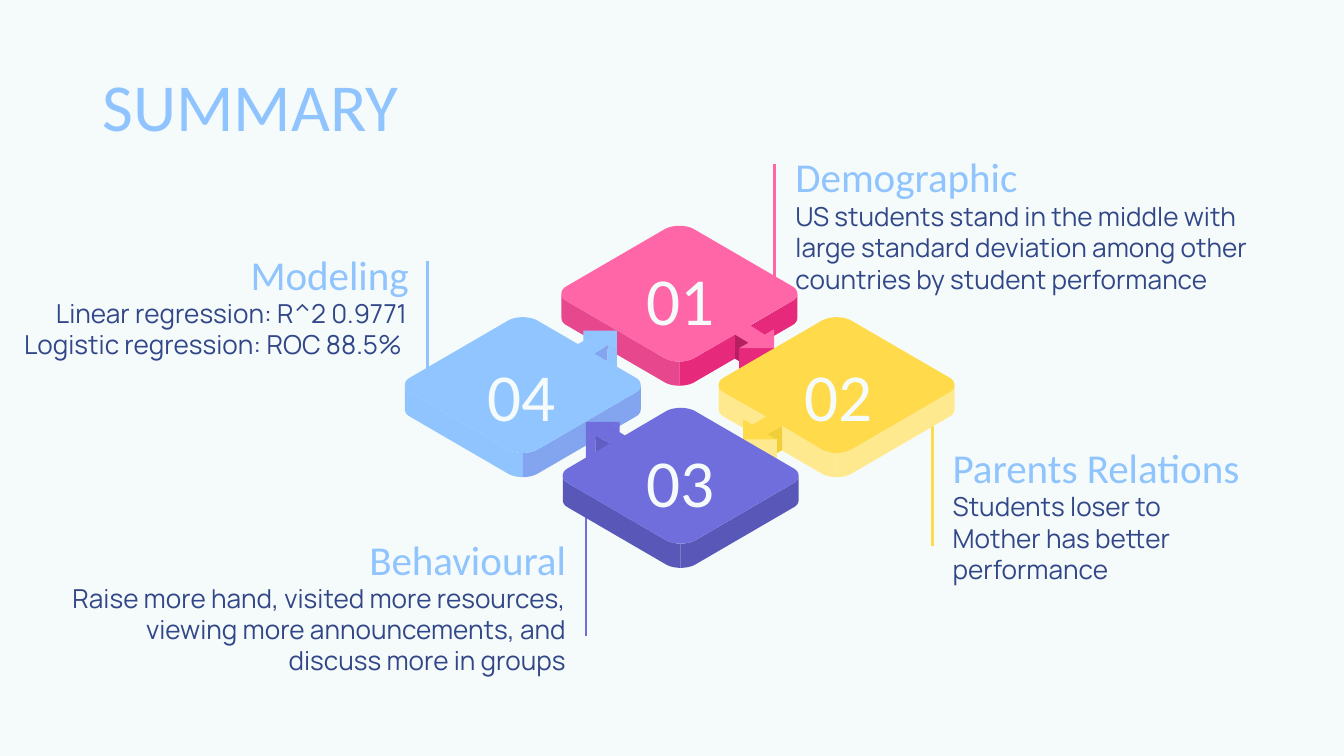
"""Build a summary slide with four interlocking tiles and their captions."""
from dataclasses import dataclass

from pptx import Presentation
from pptx.dml.color import RGBColor
from pptx.enum.shapes import MSO_CONNECTOR
from pptx.enum.text import MSO_ANCHOR, PP_ALIGN
from pptx.oxml.ns import qn
from pptx.slide import Slide
from pptx.util import Emu, Inches, Pt

WIDE = Inches(10)
HIGH = Emu(WIDE * 9 // 16)
COLS, ROWS = 1000, 562.5
DEPTH = 18

PALE = RGBColor(0xF5, 0xFB, 0xFB)
SKY = RGBColor(0x90, 0xC4, 0xFE)
NAVY = RGBColor(0x32, 0x47, 0x88)
PINK = RGBColor(0xFF, 0x66, 0xA7)
ROSE = RGBColor(0xE7, 0x47, 0x8D)
RUBY = RGBColor(0xE7, 0x29, 0x7B)
WINE = RGBColor(0xB5, 0x20, 0x60)
GOLD = RGBColor(0xFF, 0xDB, 0x4C)
CREAM = RGBColor(0xFF, 0xE9, 0x8F)
AMBER = RGBColor(0xF1, 0xCF, 0x38)
BLUE = RGBColor(0x91, 0xC5, 0xFF)
STEEL = RGBColor(0x83, 0xA5, 0xEF)
VIOLET = RGBColor(0x70, 0x6E, 0xDC)
PLUM = RGBColor(0x60, 0x5E, 0xC2)
INDIGO = RGBColor(0x59, 0x57, 0xB7)

Point = tuple[float, float]
Box = tuple[float, float, float, float]

CORNERS = (
    ((-10, -48.5), (-4, -51.2), (4, -51.2), (10, -48.5)),
    ((84, -5.5), (89, -3), (89, 3), (84, 5.5)),
    ((10, 48.5), (4, 51.2), (-4, 51.2), (-10, 48.5)),
    ((-84, 5.5), (-89, 3), (-89, -3), (-84, -5.5)),
)


@dataclass(frozen=True)
class Tile:
    """A raised tile; tab follows the given corner, sides drop from tab edges."""
    label: str
    mid: Point
    face: RGBColor
    left: RGBColor
    right: RGBColor
    corner: int
    tab: tuple[Point, ...]
    sides: dict[int, RGBColor]
    num: Point


@dataclass(frozen=True)
class Note:
    """A heading with body text beside a coloured rule."""
    head: str
    body: tuple[str, ...]
    top: Box
    low: Box
    align: PP_ALIGN
    after: int
    rule: Point
    tint: RGBColor


TILES = (
    Tile("01", (505.5, 218.5), PINK, ROSE, RUBY, 1,
         ((558, 242), (569, 249), (576, 245), (576, 259), (550, 259),
          (557, 255), (547, 249)), {5: WINE, 3: RUBY}, (457, 182)),
    Tile("02", (622.5, 286.5), GOLD, CREAM, CREAM, 2,
         ((582, 317), (571, 323), (578, 327), (553, 327), (553, 312),
          (560, 316), (570, 310)), {0: AMBER, 2: CREAM}, (575, 254)),
    Tile("04", (389, 286.5), BLUE, SKY, STEEL, 0,
         ((430, 256), (441, 250), (434, 246), (459, 246), (459, 261),
          (452, 257), (442, 263)), {1: SKY, 4: SKY, 5: STEEL}, (339, 254)),
    Tile("03", (506.5, 354), VIOLET, INDIGO, INDIGO, 3,
         ((454, 330), (443, 324), (436, 328), (436, 314), (461, 314),
          (455, 318), (465, 324)), {4: VIOLET, 1: VIOLET, 0: PLUM}, (457, 318)),
)

NOTES = (
    Note("Demographic", ("US students stand in the middle with large standard "
         "deviation among other countries by student performance",),
         (582, 103, 199, 64), (582, 139, 371, 115), PP_ALIGN.LEFT, 16,
         (576, 122), PINK),
    Note("Parents Relations",
         ("Students loser to Mother has better performance",),
         (699, 319, 241, 64), (699, 355, 236, 98), PP_ALIGN.LEFT, 16,
         (694, 308), GOLD),
    Note("Modeling",
         ("Linear regression: R^2 0.9771", "Logistic regression: ROC 88.5% "),
         (173, 176, 141, 64), (-6, 211, 319, 84), PP_ALIGN.RIGHT, 0,
         (318, 194), SKY),
    Note("Behavioural", ("Raise more hand, visited more resources, viewing more "
         "announcements, and discuss more in groups",),
         (253, 388, 178, 64), (31, 423, 400, 80), PP_ALIGN.RIGHT, 16,
         (436, 375), VIOLET),
)


def col(n: float) -> Emu:
    """Turn grid columns into a length."""
    return Emu(round(n * WIDE / COLS))


def row(n: float) -> Emu:
    """Turn grid rows into a length."""
    return Emu(round(n * HIGH / ROWS))


def write(slide: Slide, box: Box, lines: tuple[str, ...], size: int, font: str,
          tint: RGBColor, align: PP_ALIGN = PP_ALIGN.LEFT, after: int = 0) -> None:
    """Add a text box with one run per paragraph."""
    x, y, w, h = box
    frame = slide.shapes.add_textbox(col(x), row(y), col(w), row(h)).text_frame
    frame.word_wrap = True
    frame.vertical_anchor = MSO_ANCHOR.TOP
    frame.margin_left = frame.margin_right = Inches(0.1)
    frame.margin_top = frame.margin_bottom = Inches(0.1)
    for i, line in enumerate(lines):
        para = frame.add_paragraph() if i else frame.paragraphs[0]
        para.alignment = align
        para.space_after = Pt(after)
        run = para.add_run()
        run.text = line
        run.font.size = Pt(size)
        run.font.name = font
        run.font.color.rgb = tint


def rule(slide: Slide, spot: Point, tint: RGBColor) -> None:
    """Draw the upright line beside a note."""
    x, y = spot
    line = slide.shapes.add_connector(
        MSO_CONNECTOR.STRAIGHT, col(x), row(y + 98.5), col(x), row(y))
    line.line.color.rgb = tint
    line.line.width = Pt(1.5)
    props = line._element.spPr
    props.append(props.makeelement(qn("a:effectLst"), {}))


def plate(slide: Slide, points: list[Point], tint: RGBColor) -> None:
    """Fill a closed outline."""
    spots = [(col(x), row(y)) for x, y in points]
    pen = slide.shapes.build_freeform(*spots[0], scale=1.0)
    pen.add_line_segments(spots[1:], close=True)
    shape = pen.convert_to_shape()
    shape.shadow.inherit = False
    shape.fill.solid()
    shape.fill.fore_color.rgb = tint
    shape.line.fill.background()


def arc(ends: tuple[Point, ...], mid: Point, steps: int = 8) -> list[Point]:
    """Sample a cubic curve set around a tile's centre."""
    out = []
    for i in range(steps + 1):
        t = i / steps
        mix = ((1 - t) ** 3, 3 * t * (1 - t) ** 2, 3 * t * t * (1 - t), t ** 3)
        x, y = (sum(m * p[k] for m, p in zip(mix, ends)) for k in (0, 1))
        out.append((mid[0] + x, mid[1] + y))
    return out


def drop(slide: Slide, edge: list[Point], tint: RGBColor) -> None:
    """Draw the wall that hangs below an edge."""
    plate(slide, edge + [(x, y + DEPTH) for x, y in reversed(edge)], tint)


def draw(slide: Slide, tile: Tile) -> None:
    """Draw a tile's walls, tab sides and face."""
    arcs = [arc(ends, tile.mid) for ends in CORNERS]
    half = len(arcs[0]) // 2
    drop(slide, arcs[2][half:] + arcs[3][:half + 1], tile.left)
    drop(slide, arcs[1][half:] + arcs[2][:half + 1], tile.right)
    for i, tint in tile.sides.items():
        drop(slide, list(tile.tab[i:i + 2]), tint)
    face = []
    for i, bend in enumerate(arcs):
        face += bend
        if i == tile.corner:
            face += tile.tab
    plate(slide, face, tile.face)


def main() -> None:
    """Build and save the slide."""
    deck = Presentation()
    deck.slide_width, deck.slide_height = WIDE, HIGH
    slide = deck.slides.add_slide(deck.slide_layouts[6])
    slide.background.fill.solid()
    slide.background.fill.fore_color.rgb = PALE
    for note in NOTES:
        rule(slide, note.rule, note.tint)
    write(slide, (66.5, 38, 252, 93), ("SUMMARY",), 36, "Calibri", SKY)
    for note in NOTES:
        write(slide, note.top, (note.head,), 22, "Calibri", SKY, note.align)
        write(slide, note.low, note.body, 14, "Manrope", NAVY, note.align, note.after)
    for tile in TILES:
        draw(slide, tile)
    for tile in TILES:
        write(slide, (*tile.num, 98, 64), (tile.label,), 36, "Calibri", PALE,
              PP_ALIGN.CENTER)
    deck.save("out.pptx")


if __name__ == "__main__":
    main()
